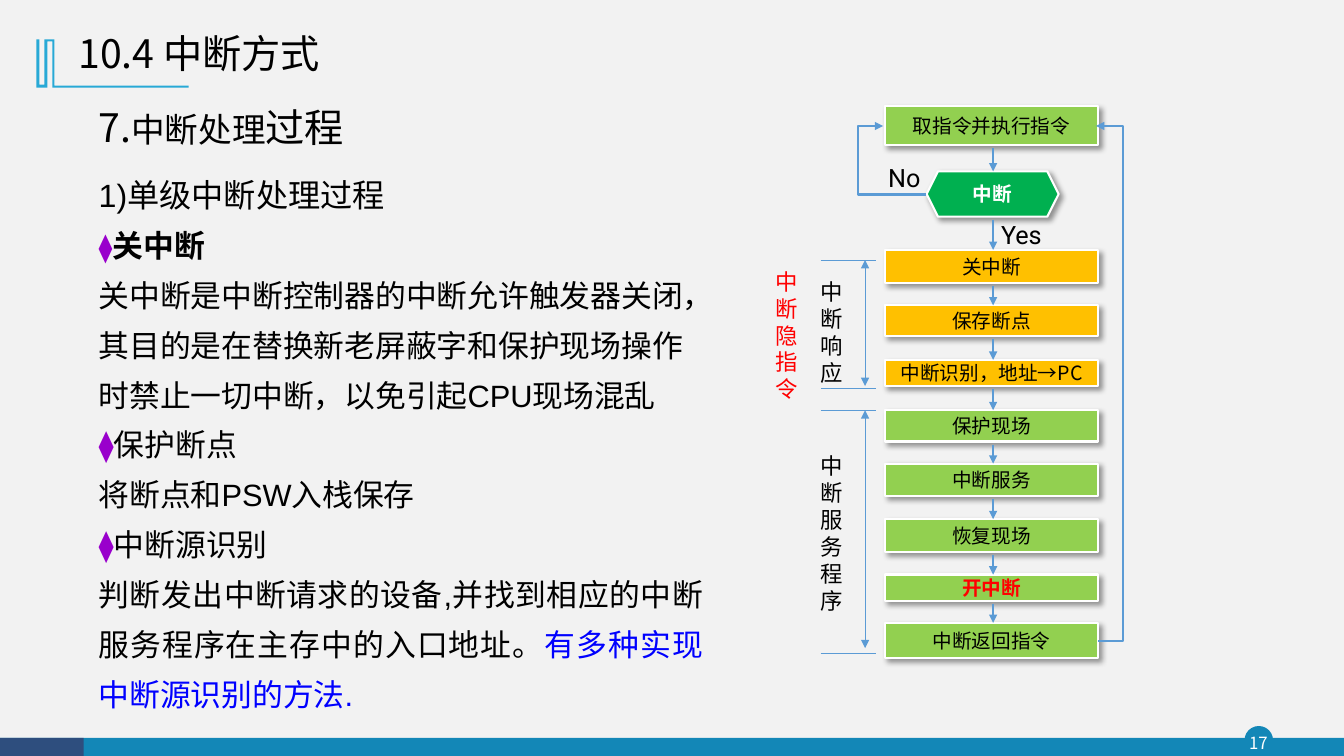
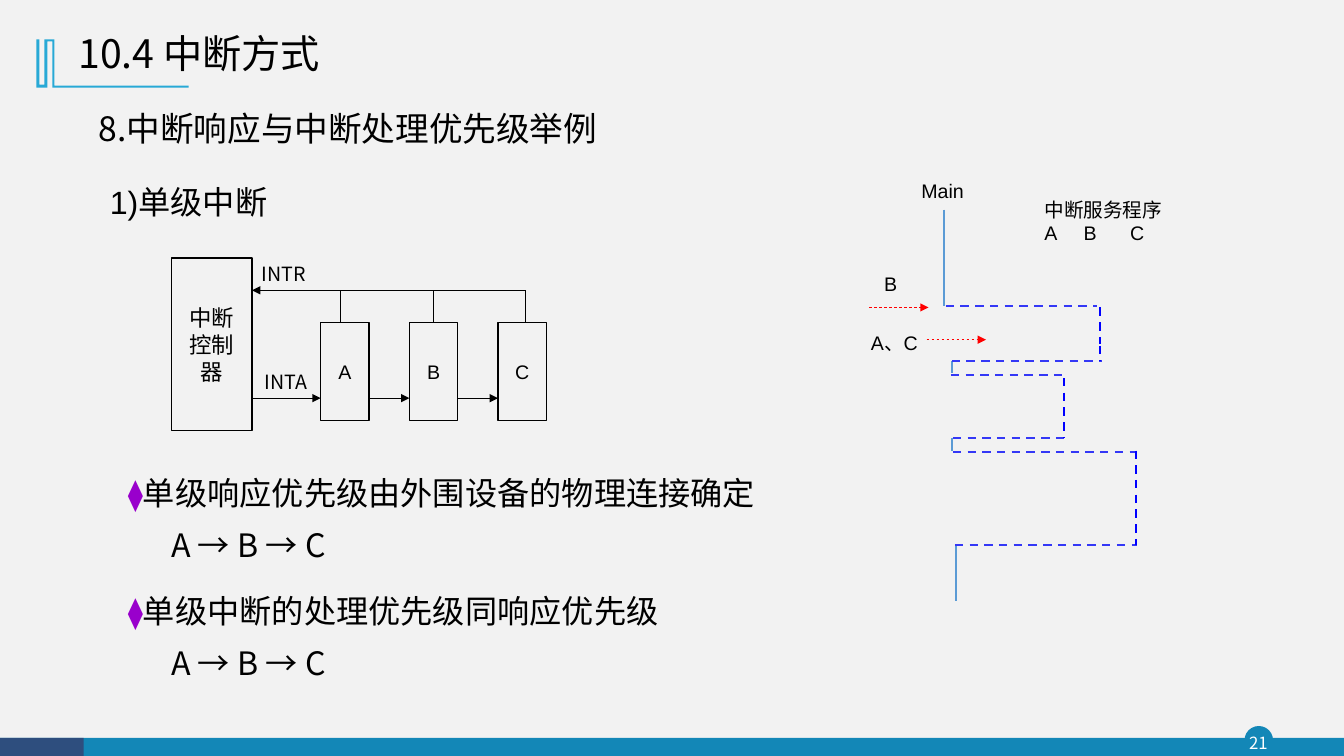
from dataclasses import dataclass

from lxml.etree import SubElement
from pptx import Presentation
from pptx.dml.color import RGBColor
from pptx.enum.dml import MSO_LINE
from pptx.enum.shapes import MSO_CONNECTOR, MSO_SHAPE
from pptx.enum.text import MSO_ANCHOR, PP_ALIGN
from pptx.oxml.ns import qn
from pptx.util import Inches, Pt


@dataclass(frozen=True)
class Theme:
    back: str = "F2F2F2"
    band: str = "1387B7"
    navy: str = "2E4E7E"
    mark: str = "28A9D6"
    black: str = "000000"
    white: str = "FFFFFF"
    red: str = "FF0000"
    blue: str = "0000FF"
    indigo: str = "3438F6"
    purple: str = "9900CC"
    flow: str = "5B9BD5"
    gold: str = "FFC000"
    lime: str = "92D050"
    green: str = "00B050"
    sans: str = "Noto Sans CJK SC"
    head: str = "Noto Sans CJK JP"
    arial: str = "Arial"
    roboto: str = "Roboto"
    title: int = 28
    topic: int = 24
    lead: int = 23
    body: int = 22
    label: int = 18
    side: int = 16
    small: int = 14
    page: int = 12
    pitch: float = 1.2
    loose: float = 1.35


T = Theme()


def write(slide, text, place, shape=None, size=T.small, font=T.sans, color=T.black, bold=False,
          align=PP_ALIGN.LEFT, anchor=MSO_ANCHOR.TOP, lead=1, inset=0.1, fill=None, line=None,
          width=1, shade=False):
    place = [Inches(n) for n in place]
    if shape is None:
        box = slide.shapes.add_textbox(*place)
    else:
        box = slide.shapes.add_shape(shape, *place)
        box.shadow.inherit = False
        box.fill.background()
        box.line.fill.background()
    if fill:
        box.fill.solid()
        box.fill.fore_color.rgb = RGBColor.from_string(fill)
    if line:
        box.line.color.rgb = RGBColor.from_string(line)
        box.line.width = Pt(width)
    if shade:
        effects = box.element.spPr.find(qn("a:effectLst"))
        shadow = SubElement(effects, qn("a:outerShdw"), blurRad=str(Pt(4)), dist=str(Pt(3)),
                            dir="2700000", algn="tl", rotWithShape="0")
        tint = SubElement(shadow, qn("a:srgbClr"), val=T.black)
        SubElement(tint, qn("a:alpha"), val="40000")
    frame = box.text_frame
    frame.word_wrap = True
    frame.vertical_anchor = anchor
    frame.margin_left = frame.margin_right = Inches(inset)
    frame.margin_top = frame.margin_bottom = Inches(min(inset, 0.05))
    for index, runs in enumerate([text] if isinstance(text, str) else text):
        para = frame.add_paragraph() if index else frame.paragraphs[0]
        para.alignment = align
        para.line_spacing = Pt(round(size * T.pitch * lead, 1))
        for words, style in [(runs, {})] if isinstance(runs, str) else runs:
            run = para.add_run()
            run.text = words
            run.font.size = Pt(style.get("size", size))
            run.font.bold = style.get("bold", bold)
            run.font.color.rgb = RGBColor.from_string(style.get("color", color))
            name = style.get("font", font)
            run.font.name = name
            SubElement(run.font._element, qn("a:ea"),
                       typeface=name if name.startswith("Noto") else T.sans)
    return box


def link(slide, start, end, color=T.flow, width=1.5, dash=False, head=False, tail=False, bend=None):
    kind = MSO_CONNECTOR.STRAIGHT if bend is None else MSO_CONNECTOR.ELBOW
    wire = slide.shapes.add_connector(kind, *[Inches(n) for n in (*start, *end)])
    wire.line.color.rgb = RGBColor.from_string(color)
    wire.line.width = Pt(width)
    if dash:
        wire.line.dash_style = MSO_LINE.DASH
    props = wire.element.spPr
    for name, shown in (("a:headEnd", head), ("a:tailEnd", tail)):
        if shown:
            SubElement(props.find(qn("a:ln")), qn(name), type="triangle")
    if bend is not None:
        ratio = round((bend - start[0]) / (end[0] - start[0]) * 100000)
        guides = props.find(qn("a:prstGeom")).find(qn("a:avLst"))
        SubElement(guides, qn("a:gd"), name="adj1", fmla=f"val {ratio}")
    SubElement(props, qn("a:effectLst"))


deck = Presentation()
deck.slide_width = Inches(13.33)
deck.slide_height = Inches(7.5)
outline = [(54, 85), (187, 85), (187, 87), (52, 87), (52, 41), (47, 41), (47, 87), (36, 87),
           (36, 39), (39, 39), (39, 84), (44, 84), (44, 39)]
slides = []
for number in ("17", "21"):
    slide = deck.slides.add_slide(deck.slide_layouts[6])
    slide.background.fill.solid()
    slide.background.fill.fore_color.rgb = RGBColor.from_string(T.back)
    write(slide, [], (12.35, 7.21, 0.27, 0.27), MSO_SHAPE.OVAL, fill=T.band, line=T.band)
    write(slide, [], (0, 7.32, 13.33, 0.18), MSO_SHAPE.RECTANGLE, fill=T.band)
    write(slide, [], (0, 7.32, 0.83, 0.18), MSO_SHAPE.RECTANGLE, fill=T.navy)
    write(slide, number, (12.32, 7.21, 0.32, 0.31), size=T.page, color=T.white, inset=0,
          align=PP_ALIGN.CENTER, anchor=MSO_ANCHOR.MIDDLE)
    pen = slide.shapes.build_freeform(54, 39, scale=Inches(0.01))
    pen.add_line_segments(outline, close=True)
    mark = pen.convert_to_shape()
    mark.shadow.inherit = False
    mark.fill.solid()
    mark.fill.fore_color.rgb = RGBColor.from_string(T.mark)
    mark.line.fill.background()
    write(slide, "10.4 中断方式", (0.68, 0.21, 4.49, 0.68), size=T.title, lead=0.9,
          anchor=MSO_ANCHOR.MIDDLE)
    slides.append(slide)

flow, rank = slides
gem = ("⧫", {"color": T.purple, "font": T.arial})

write(flow, [[("7.", {}), ("中断处理", {"size": T.topic}), ("过程", {})]],
      (0.88, 0.98, 3.43, 0.57), size=T.title, font=T.head)
write(flow, "1)单级中断处理过程", (0.88, 1.69, 4.48, 0.49), size=T.lead, font=T.arial)
body = write(flow, [
    [("⧫", {"color": T.purple, "size": 20}), ("关中断", {"bold": True})],
    "关中断是中断控制器的中断允许触发器关闭，其目的是在替换新老屏蔽字和保护现场操作时禁止一切中断，以免引起CPU现场混乱",
    [gem, ("保护断点", {})],
    "将断点和PSW入栈保存",
    [gem, ("中断源识别", {})],
    [("判断发出中断请求的设备,并找到相应的中断服务程序在主存中的入口地址。", {}),
     ("有多种实现中断源识别的方法.", {"color": T.blue})],
], (0.88, 2.2, 6.19, 4.97), size=T.body, font=T.arial, lead=T.loose)
paras = body.text_frame.paragraphs
paras[0].line_spacing = Pt(T.body * T.pitch)
for para in paras[2:]:
    para.alignment = PP_ALIGN.JUSTIFY

steps = [
    ("取指令并执行指令", 1.05, 0.39, T.lime),
    ("中断", 1.7, 0.45, T.green),
    ("关中断", 2.48, 0.33, T.gold),
    ("保存断点", 3.03, 0.3, T.gold),
    ("中断识别，地址→PC", 3.57, 0.26, T.gold),
    ("保护现场", 4.07, 0.31, T.lime),
    ("中断服务", 4.6, 0.32, T.lime),
    ("恢复现场", 5.15, 0.33, T.lime),
    ("开中断", 5.7, 0.26, T.lime),
    ("中断返回指令", 6.18, 0.35, T.lime),
]
for text, top, height, fill in steps:
    test = fill == T.green
    alert = text == "开中断"
    left, width = (9.19, 1.31) if test else (8.78, 2.11)
    write(flow, text, (left, top, width, height),
          MSO_SHAPE.HEXAGON if test else MSO_SHAPE.RECTANGLE,
          color=T.white if test else T.red if alert else T.black, bold=test or alert,
          align=PP_ALIGN.CENTER, anchor=MSO_ANCHOR.MIDDLE, inset=0.05,
          fill=fill, line=T.white, width=1.5, shade=True)
for (_, top, height, _), (_, below, _, _) in zip(steps, steps[1:]):
    link(flow, (9.85, top + height + 0.03), (9.85, below), tail=True)
link(flow, (10.89, 6.36), (10.87, 1.25), tail=True, bend=11.14)
link(flow, (9.19, 1.93), (8.76, 1.25), tail=True, bend=8.51)
write(flow, "No", (8.71, 1.56, 0.63, 0.4), size=T.label, font=T.roboto)
write(flow, "Yes", (9.83, 2.13, 0.81, 0.4), size=T.label, font=T.roboto)

for top, low, end in ((2.58, 3.85, 3.83), (4.07, 6.48, 6.43)):
    for y in (top, low):
        link(flow, (8.14, y), (8.69, y), width=0.5)
    link(flow, (8.58, top), (8.58, end), width=0.5, head=True, tail=True)
for text, left, top, height, color in (
    (["中断", "响应"], 8.04, 2.71, 1.03, T.black),
    ("中断隐指令", 7.59, 2.61, 1.27, T.red),
    (["中断", "服务程序"], 8.04, 4.44, 1.72, T.black),
):
    write(flow, text, (left, top, 0.47, height), size=T.side, color=color)

write(rank, "8.中断响应与中断处理优先级举例", (0.88, 1.02, 5.84, 0.5), size=T.topic, font=T.head)
write(rank, "1)单级中断", (0.99, 1.76, 1.99, 0.49), size=T.lead, font=T.arial)

write(rank, "中断控制器", (1.7, 2.56, 0.8, 1.71), MSO_SHAPE.RECTANGLE, size=T.side,
      align=PP_ALIGN.CENTER, anchor=MSO_ANCHOR.MIDDLE, line=T.black)
link(rank, (5.21, 2.88), (2.5, 2.88), color=T.black, width=0.5, tail=True)
edge = 2.5
for index, name in enumerate("ABC"):
    left = 3.18 + 0.88 * index
    stem = 3.38 + 0.915 * index
    write(rank, name, (left, 3.2, 0.48, 0.97), MSO_SHAPE.RECTANGLE, font=T.arial,
          align=PP_ALIGN.CENTER, anchor=MSO_ANCHOR.MIDDLE, line=T.black)
    link(rank, (stem, 2.88), (stem, 3.2), color=T.black, width=0.5)
    link(rank, (edge, 3.95), (left, 3.95), color=T.black, width=0.5, tail=True)
    edge = left + 0.48
write(rank, "INTR", (2.5, 2.55, 0.77, 0.34))
write(rank, "INTA", (2.53, 3.62, 0.77, 0.34))

for text, top in (("单级响应优先级由外围设备的物理连接确定", 4.51),
                  ("单级中断的处理优先级同响应优先级", 5.68)):
    rule = write(rank, [[("⧫", {**gem[1], "size": T.body}), (text, {})], "A → B → C"],
                 (1.17, top, 6.56, 1.15), size=T.lead, lead=T.loose)
    chain = rule.text_frame.paragraphs[1]._p.get_or_add_pPr()
    chain.set("marL", str(Inches(0.43)))
    chain.set("indent", "0")

for text, left, top, width in (("Main", 9.04, 1.73, 0.63), ("B", 8.67, 2.65, 0.42),
                               ("A、C", 8.54, 3.23, 1.01)):
    write(rank, text, (left, top, width, 0.34), font=T.arial)
names = write(rank, ["中断服务程序", "A\tB\tC"], (10.26, 1.91, 1.55, 0.57), font=T.arial)
tabs = SubElement(names.text_frame.paragraphs[1]._p.get_or_add_pPr(), qn("a:tabLst"))
for stop in (0.39, 0.85):
    SubElement(tabs, qn("a:tab"), pos=str(Inches(stop)), algn="l")

for left, y in ((8.62, 3.05), (9.19, 3.37)):
    link(rank, (left, y), (left + 0.59, y), color=T.red, width=0.5, dash=True, tail=True)
for x, top, low in ((9.36, 2.08, 3.04), (9.44, 3.58, 3.7), (9.44, 4.35, 4.47), (9.48, 5.41, 5.96)):
    link(rank, (x, top), (x, low))
for left, right, y in ((9.38, 10.88, 3.04), (9.44, 10.93, 3.58), (9.43, 10.57, 3.72),
                       (9.45, 10.56, 4.35), (9.45, 11.27, 4.48), (9.47, 11.28, 5.41)):
    link(rank, (left, y), (right, y), color=T.indigo, dash=True)
for x, top, low in ((10.91, 3.05, 3.41), (10.91, 3.43, 3.58), (10.55, 3.75, 4.34),
                    (11.27, 4.47, 5.41)):
    link(rank, (x, top), (x, low), color=T.blue, dash=True)

deck.save("out.pptx")
